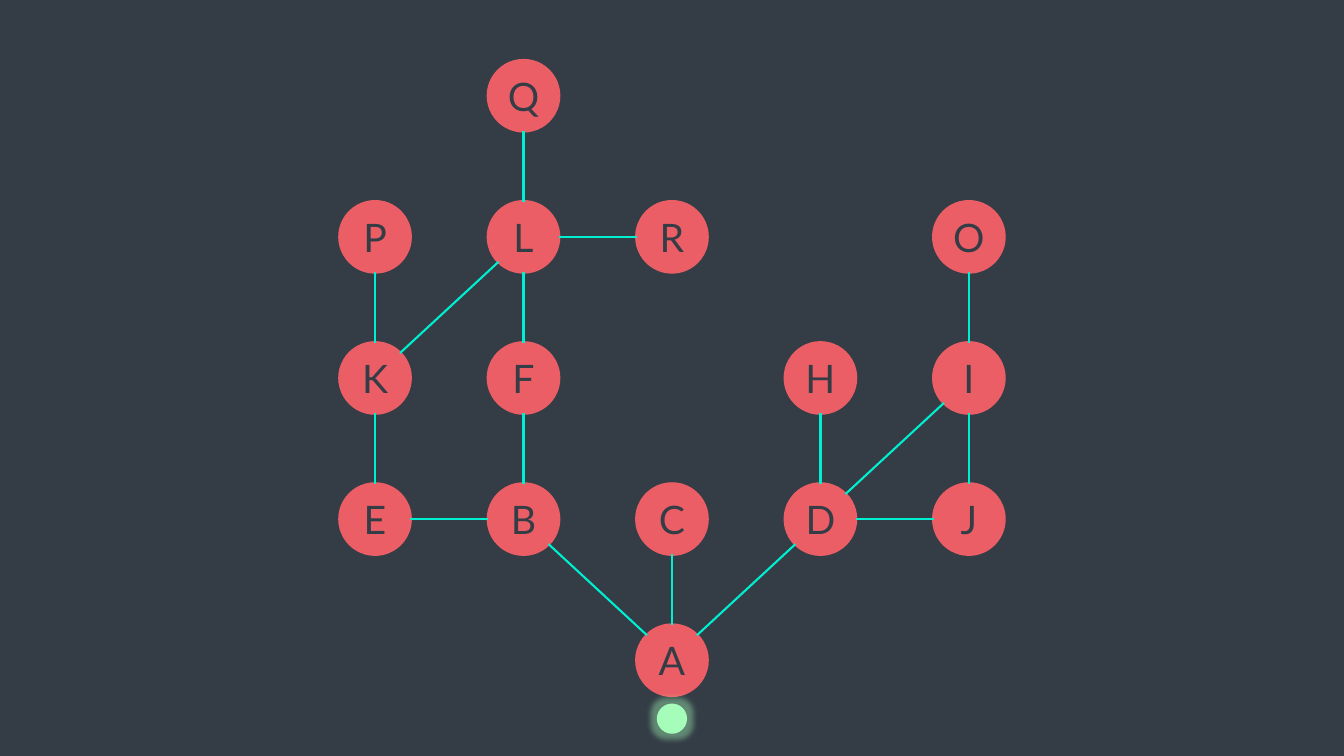
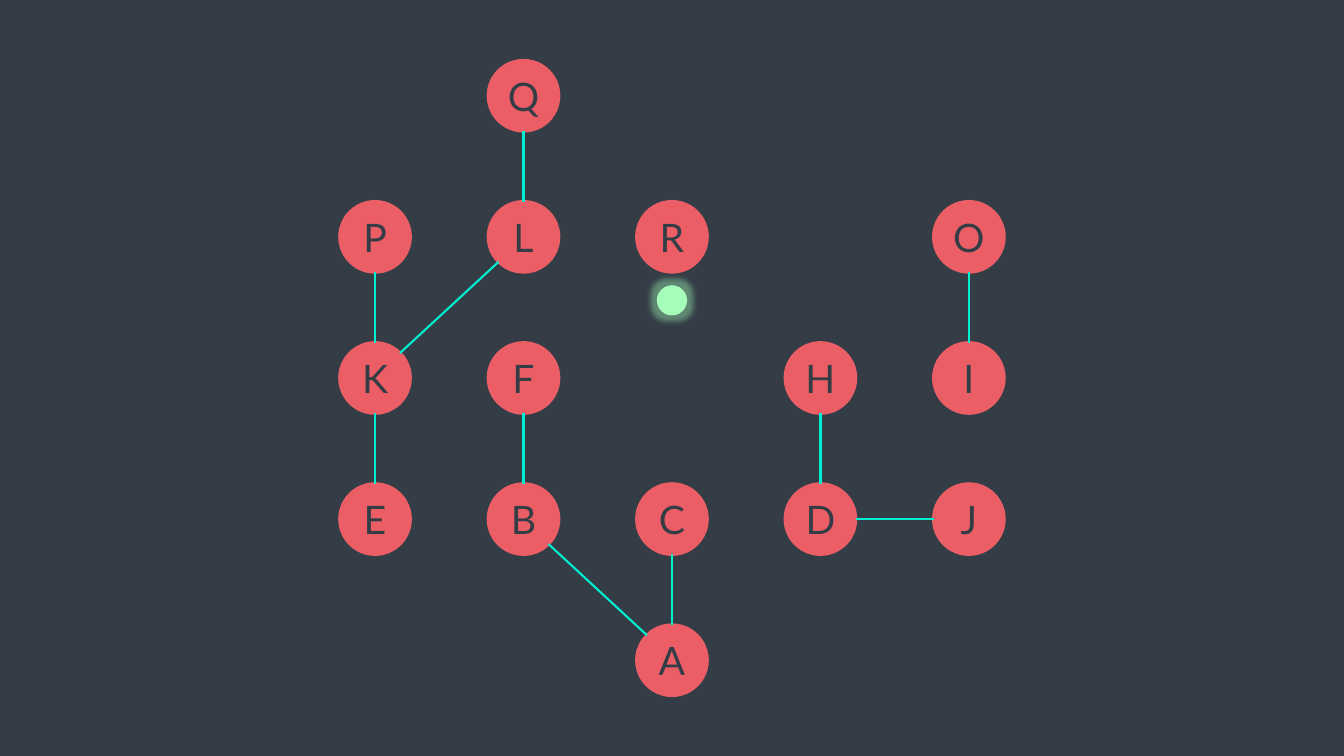
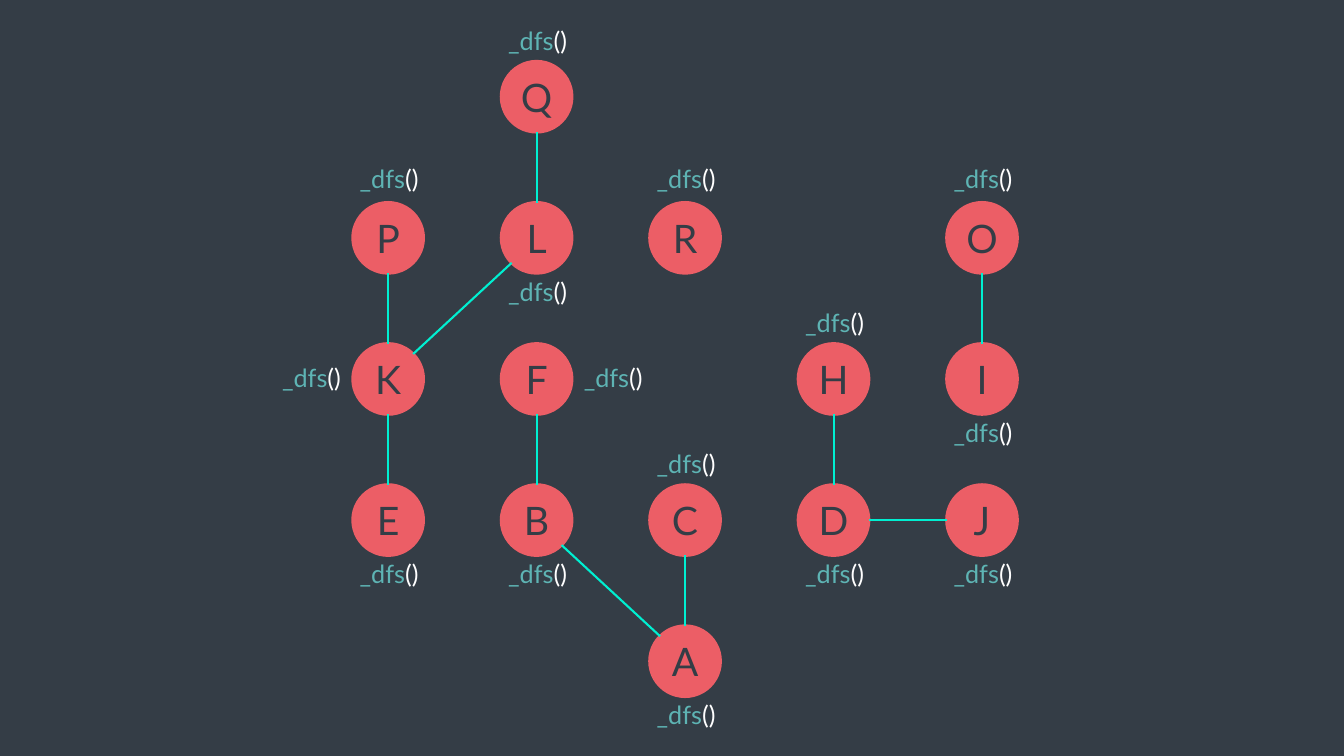
from math import hypot

from lxml.etree import SubElement
from pptx import Presentation
from pptx.dml.color import RGBColor
from pptx.enum.shapes import MSO_CONNECTOR, MSO_SHAPE
from pptx.enum.text import MSO_ANCHOR, MSO_AUTO_SIZE, PP_ALIGN
from pptx.oxml.ns import qn
from pptx.util import Emu, Pt

EMU_PER_PX = 9144
SLIDE_SIZE = 1333, 750
FONT = "Lato"
SLATE, CORAL, TEAL, MINT = "343D46", "EC5E66", "00EFD1", "A5FDB9"
CALL_NAME, CALL_BRACKETS = "5EB4B4", "FFFFFF"

NODE_SIZE, MARKER_SIZE = 70, 30
LABEL_SIZE = 106, 40
COLUMNS, ROWS = 5, 5
GRID = {
    "Q": (1, 0),
    "P": (0, 1), "L": (1, 1), "R": (2, 1), "O": (4, 1),
    "K": (0, 2), "F": (1, 2), "H": (3, 2), "I": (4, 2),
    "E": (0, 3), "B": (1, 3), "C": (2, 3), "D": (3, 3), "J": (4, 3),
    "A": (2, 4),
}
FOREST_EDGES = "AB AC BF QL PK LK KE HD JD OI".split()
GRAPH_EDGES = FOREST_EDGES + "AD EB RL FL ID IJ".split()
LABEL_OFFSETS = {
    (-17, -44): "PRO",
    (-17, -41): "QCH",
    (-17, 68): "LBEADJI",
    (58, 14): "F",
    (-94, 14): "K",
}
GRAPH_BOX = 337, 60, 659, 630
LABELLED_BOX = 350, 61, 659, 630


def px(length):
    """Turn a length in px into EMU."""
    return Emu(round(length * EMU_PER_PX))


def colour(hex_string):
    """Turn a hex string into a colour."""
    return RGBColor.from_string(hex_string)


def write(frame, text, size=28, ink=SLATE):
    """Append a formatted, centred run to the first paragraph of a frame."""
    paragraph = frame.paragraphs[0]
    paragraph.alignment = PP_ALIGN.CENTER
    run = paragraph.add_run()
    run.text = text
    run.font.name = FONT
    run.font.size = Pt(size)
    run.font.color.rgb = colour(ink)


def add_circle(slide, left, top, size, fill):
    """Add a plain filled circle without outline or shadow."""
    circle = slide.shapes.add_shape(
        MSO_SHAPE.OVAL, px(left), px(top), px(size), px(size))
    circle.shadow.inherit = False
    circle.fill.solid()
    circle.fill.fore_color.rgb = colour(fill)
    circle.line.fill.background()
    return circle


def add_node(slide, letter, left, top):
    """Add one lettered graph node."""
    node = add_circle(slide, left, top, NODE_SIZE, CORAL)
    node.line.color.rgb = colour(CORAL)
    node.line.width = Pt(2.25)
    frame = node.text_frame
    frame.margin_left = frame.margin_right = 0
    frame.margin_top = frame.margin_bottom = 0
    frame.vertical_anchor = MSO_ANCHOR.MIDDLE
    write(frame, letter)


def add_edge(slide, start, end):
    """Join the rims of two nodes given by their top-left corners."""
    across, down = ((b > a) - (b < a) for a, b in zip(start, end))
    radius = NODE_SIZE / 2
    reach = radius / hypot(across, down)
    edge = slide.shapes.add_connector(
        MSO_CONNECTOR.STRAIGHT,
        px(start[0] + radius + across * reach),
        px(start[1] + radius + down * reach),
        px(end[0] + radius - across * reach),
        px(end[1] + radius - down * reach))
    edge.line.color.rgb = colour(TEAL)
    edge.line.width = Pt(1.5)
    SubElement(edge._element.spPr, qn("a:effectLst"))


def add_graph(slide, box, edges):
    """Draw all nodes and the given edges in a box; return node corners."""
    left, top, width, height = box
    column_step = (width - NODE_SIZE) / (COLUMNS - 1)
    row_step = (height - NODE_SIZE) / (ROWS - 1)
    corners = {
        letter: (left + column * column_step, top + row * row_step)
        for letter, (column, row) in GRID.items()
    }
    for letter, corner in corners.items():
        add_node(slide, letter, *corner)
    for start, end in edges:
        add_edge(slide, corners[start], corners[end])
    return corners


def add_marker(slide, corner, drop):
    """Add the glowing marker centred below a node corner."""
    left, top = corner
    marker = add_circle(slide, left + (NODE_SIZE - MARKER_SIZE) / 2,
                        top + drop, MARKER_SIZE, MINT)
    effects = marker._element.spPr.find(qn("a:effectLst"))
    glow = SubElement(effects, qn("a:glow"), rad=str(Pt(8)))
    tint = SubElement(glow, qn("a:srgbClr"), val=MINT)
    SubElement(tint, qn("a:alpha"), val="40000")


def add_call_label(slide, left, top):
    """Add one two-coloured function call label."""
    width, height = LABEL_SIZE
    label = slide.shapes.add_textbox(px(left), px(top), px(width), px(height))
    frame = label.text_frame
    frame.word_wrap = True
    frame.auto_size = MSO_AUTO_SIZE.SHAPE_TO_FIT_TEXT
    write(frame, "_dfs", size=18, ink=CALL_NAME)
    write(frame, "()", size=18, ink=CALL_BRACKETS)


def add_marked_slide(deck, edges, letter, drop):
    """Add a graph slide with the marker below one node."""
    slide = deck.slides.add_slide(deck.slide_layouts[6])
    corners = add_graph(slide, GRAPH_BOX, edges)
    add_marker(slide, corners[letter], drop)


def add_labelled_slide(deck):
    """Add the forest slide with a call label beside every node."""
    slide = deck.slides.add_slide(deck.slide_layouts[6])
    corners = add_graph(slide, LABELLED_BOX, FOREST_EDGES)
    for (across, down), letters in LABEL_OFFSETS.items():
        for letter in letters:
            left, top = corners[letter]
            add_call_label(slide, left + across, top + down)


def main():
    """Build and save the deck."""
    deck = Presentation()
    deck.slide_width, deck.slide_height = map(px, SLIDE_SIZE)
    backdrop = deck.slide_master.background.fill
    backdrop.solid()
    backdrop.fore_color.rgb = colour(SLATE)
    add_marked_slide(deck, GRAPH_EDGES, "A", 78)
    add_marked_slide(deck, FOREST_EDGES, "R", 83)
    add_labelled_slide(deck)
    deck.save("out.pptx")


if __name__ == "__main__":
    main()
